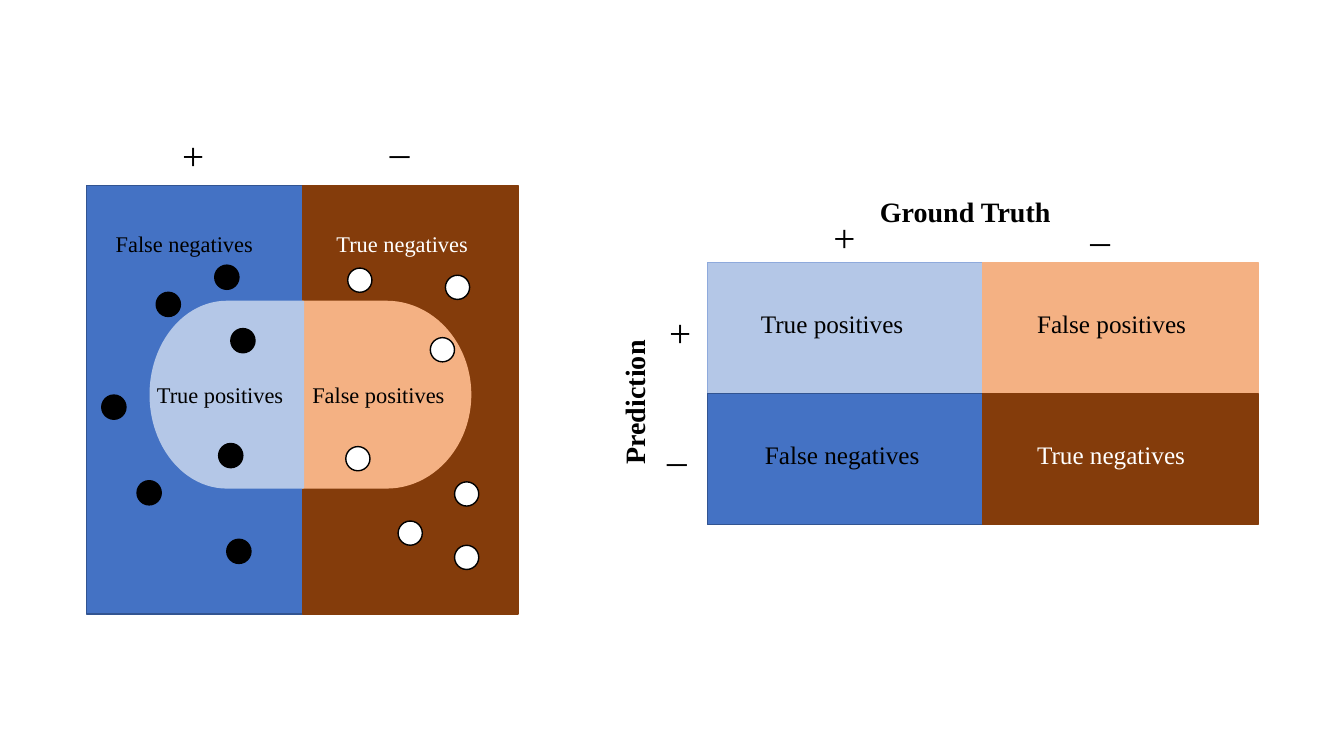
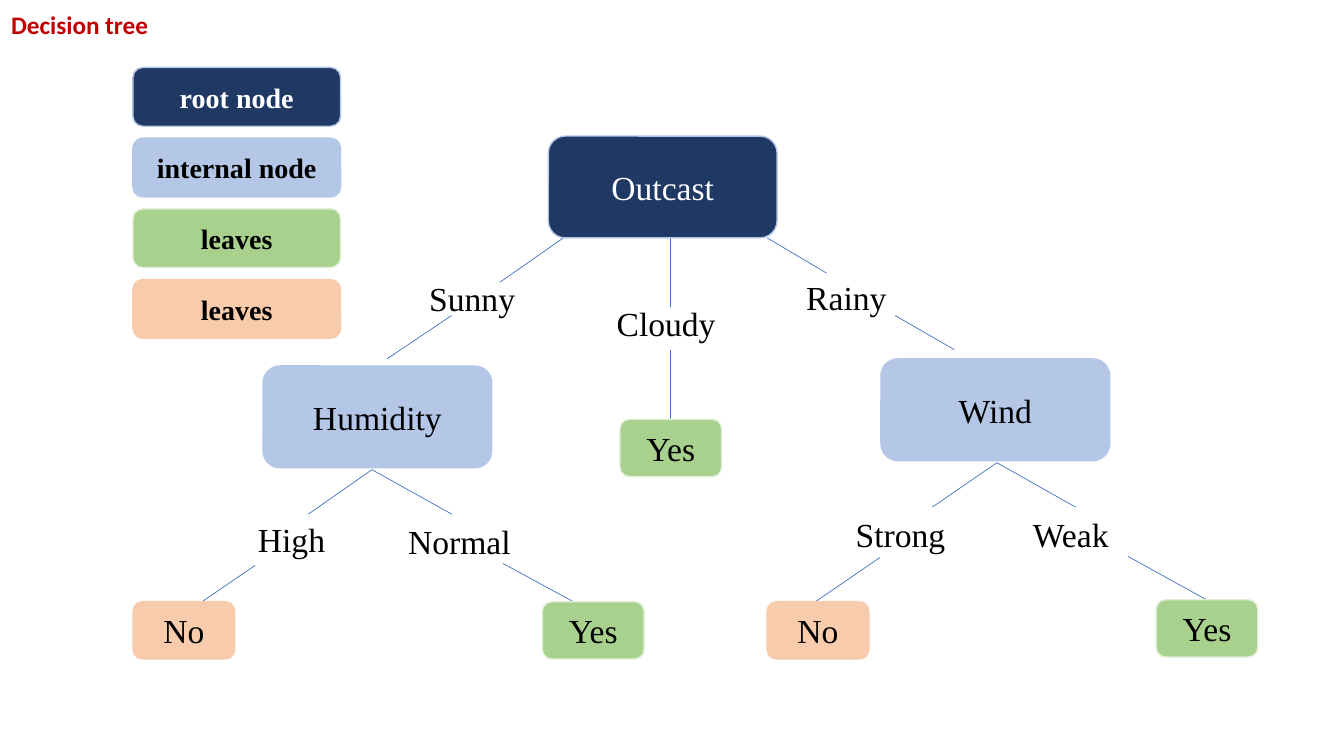
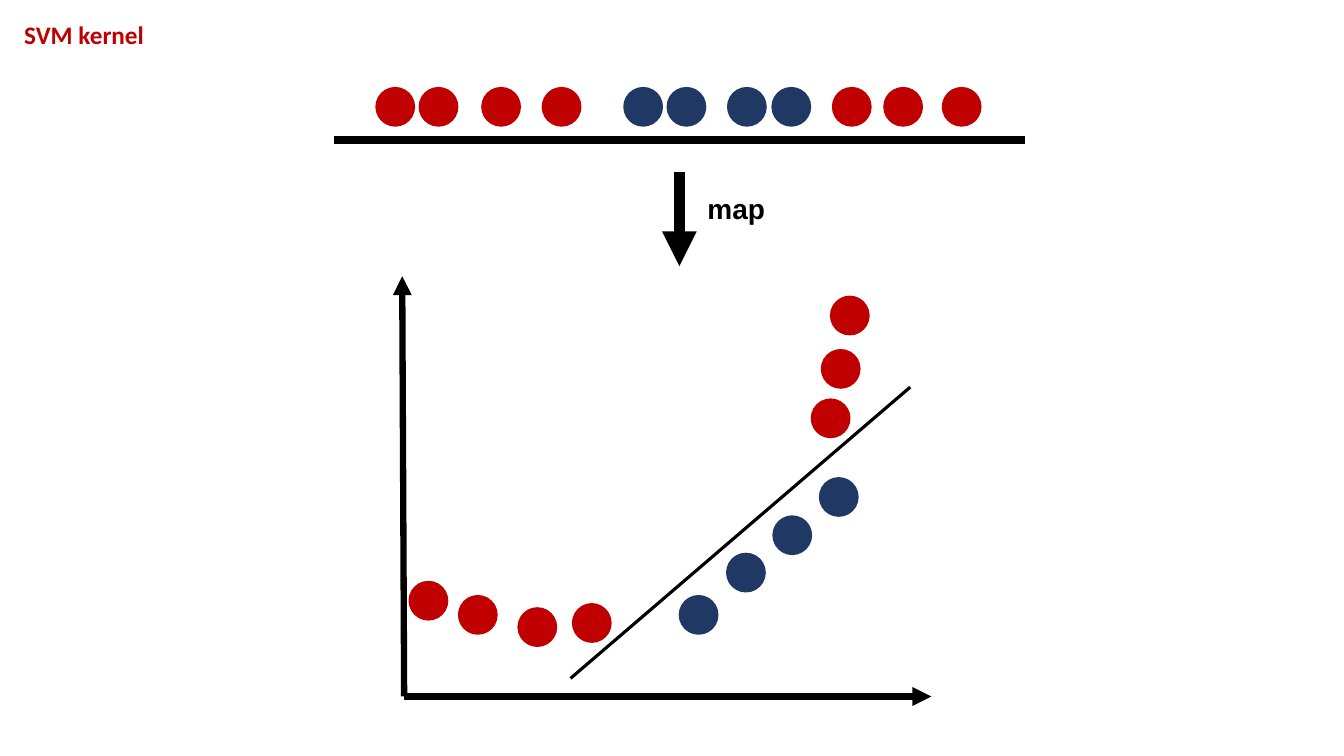
"""Build three machine learning slides: confusion matrix, decision tree and SVM kernel."""
from pptx import Presentation
from pptx.dml.color import RGBColor
from pptx.enum.shapes import MSO_CONNECTOR, MSO_SHAPE
from pptx.enum.text import MSO_ANCHOR, MSO_AUTO_SIZE, PP_ALIGN
from pptx.oxml.ns import qn
from pptx.util import Pt
from lxml.etree import SubElement

COLORS = {
    "black": "000000", "white": "FFFFFF", "red": "C00000", "navy": "203864",
    "blue": "4472C4", "blue edge": "325491", "pale blue": "B4C7E7",
    "soft blue": "8FAADC", "brown": "843C0B", "orange": "F4B183",
    "green": "A9D18E", "pale green": "E2F0D9", "peach": "F8CBAD",
}
SERIF = "Times New Roman"
TITLE_ONLY, BLANK = 5, 6
NODE_STYLES = {
    "root": ("navy", "pale blue", "white"),
    "internal": ("pale blue", "pale blue", "black"),
    "yes": ("green", "pale green", "black"),
    "no": ("peach", "peach", "black"),
}


def rgb(name):
    """Return the named colour."""
    return RGBColor.from_string(COLORS[name])


def set_text(box, text, size, color="black", bold=False, name=SERIF):
    """Write one formatted paragraph into a shape."""
    para = box.text_frame.paragraphs[0]
    para.text = text
    font = para.font
    font.name, font.size, font.bold = name, Pt(size), bold
    font.color.rgb = rgb(color)
    return para


def fit_frame(box):
    """Let a box take the size of its unwrapped text."""
    box.text_frame.word_wrap = False
    box.text_frame.auto_size = MSO_AUTO_SIZE.SHAPE_TO_FIT_TEXT


def add_title(page, text, left, top, width):
    """Place the small red title in the corner of a slide."""
    title = page.shapes.title
    title.left, title.top = Pt(left), Pt(top)
    title.width, title.height = Pt(width), Pt(28.8)
    para = set_text(title, text, 18, "red", True, "Calibri")
    para.alignment = PP_ALIGN.LEFT
    title.text_frame.vertical_anchor = MSO_ANCHOR.TOP
    fit_frame(title)


def add_label(page, text, left, top, width, size, color="black", bold=False, name=SERIF):
    """Add a one-line text box."""
    height = size * 1.2 + 7.2
    box = page.shapes.add_textbox(Pt(left), Pt(top), Pt(width), Pt(height))
    fit_frame(box)
    set_text(box, text, size, color, bold, name)
    return box


def add_sign(page, sign, left, top):
    """Add a large plus or minus sign."""
    add_label(page, sign, left, top, 33.1 if sign == "+" else 28.8, 28)


def add_figure(page, kind, left, top, width, height, fill, edge):
    """Add a filled preset shape with a thin outline."""
    figure = page.shapes.add_shape(kind, Pt(left), Pt(top), Pt(width), Pt(height))
    figure.shadow.inherit = False
    figure.fill.solid()
    figure.fill.fore_color.rgb = rgb(fill)
    figure.line.color.rgb = rgb(edge)
    figure.line.width = Pt(1)
    return figure


def add_dots(page, points, size, fill, edge):
    """Add equal circles at the given left and top corners."""
    for left, top in points:
        add_figure(page, MSO_SHAPE.OVAL, left, top, size, size, fill, edge)


def add_node(page, text, style, left, top, width, height, size=24, bold=False):
    """Add a rounded tree node with centred text."""
    fill, edge, color = NODE_STYLES[style]
    node = add_figure(page, MSO_SHAPE.ROUNDED_RECTANGLE, left, top, width, height, fill, edge)
    set_text(node, text, size, color, bold)


def add_line(page, start, end, color, width, arrow=False):
    """Add a straight line, with an arrowhead at its end if asked."""
    line = page.shapes.add_connector(
        MSO_CONNECTOR.STRAIGHT, *(Pt(value) for value in start + end))
    line.line.color.rgb = rgb(color)
    line.line.width = Pt(width)
    properties = line._element.spPr
    if arrow:
        SubElement(properties.find(qn("a:ln")), qn("a:tailEnd"), type="triangle")
    SubElement(properties, qn("a:effectLst"))


def draw_sample_space(page):
    """Draw the samples split by class and by prediction."""
    for left, fill, edge in ((62, "blue", "blue edge"), (216, "brown", "brown")):
        add_figure(page, MSO_SHAPE.RECTANGLE, left, 132.5, 154, 306, fill, edge)
    add_figure(page, MSO_SHAPE.FLOWCHART_DELAY, 216, 215.3, 120.2, 133.2, "orange", "orange")
    true_side = add_figure(
        page, MSO_SHAPE.FLOWCHART_DELAY, 107.3, 215.3, 109.4, 133.2, "pale blue", "pale blue")
    true_side._element.spPr.get_or_add_xfrm().set("flipH", "1")

    for text, left, top, width, color in (
        ("False positives", 216, 269, 119.5, "black"),
        ("True positives", 105, 269, 113.8, "black"),
        ("True negatives", 233.3, 160.6, 119.5, "white"),
        ("False negatives", 75.6, 160.6, 125.3, "black"),
    ):
        add_label(page, text, left, top, width, 16, color)

    positives = ((153.4, 189.4), (111.6, 208.8), (164.9, 234.7), (156.2, 316.8),
                 (97.9, 343.4), (162, 385.2), (72.7, 282.2))
    negatives = ((248.4, 191.5), (318.2, 196.6), (307.4, 241.2), (324.7, 344.2),
                 (284.4, 372.2), (247, 319), (324.7, 389.5))
    add_dots(page, positives, 17.3, "black", "black")
    add_dots(page, negatives, 17.3, "white", "black")
    add_sign(page, "+", 123.1, 90)
    add_sign(page, "_", 271.4, 77.8)


def draw_confusion_matrix(page):
    """Draw the two by two table of outcomes with its axis names."""
    left, top, width, height = 505.4, 187.7, 196.6, 93.6
    for column, row, fill, edge, text, indent, label_width, color in (
        (0, 0, "pale blue", "soft blue", "True positives", 31, 126.7, "black"),
        (0, 1, "blue", "blue edge", "False negatives", 33.9, 139.7, "black"),
        (1, 0, "orange", "orange", "False positives", 31.7, 132.5, "black"),
        (1, 1, "brown", "brown", "True negatives", 31.7, 133.2, "white"),
    ):
        x, y = left + column * width, top + row * height
        add_figure(page, MSO_SHAPE.RECTANGLE, x, y, width, height, fill, edge)
        add_label(page, text, x + indent, y + 28.8, label_width, 18, color)

    for sign, x, y in (("+", 588.2, 149), ("_", 771.8, 141.1),
                       ("+", 470.9, 216.7), ("_", 469.4, 298.1)):
        add_sign(page, sign, x, y)
    add_label(page, "Ground Truth", 621.4, 135.4, 140.4, 20, bold=True)
    prediction = add_label(page, "Prediction", 397.4, 267.8, 110.9, 20, bold=True)
    prediction.rotation = 270


def draw_decision_tree(page):
    """Draw the weather tree and the legend of its node kinds."""
    add_title(page, "Decision tree", 0.7, 2.9, 113)
    for start, end in (
        ((402.5, 169.9), (357.1, 201.6)), ((478.8, 169.9), (478.8, 219.6)),
        ((547.9, 169.9), (590.4, 195.1)), ((322.6, 225.4), (276.5, 256.3)),
        ((478.8, 249.8), (478.8, 299.5)), ((639.4, 225.4), (681.8, 249.8)),
        ((265.7, 335.5), (220.3, 367.2)), ((265.7, 335.5), (322.6, 367.2)),
        ((182.2, 403.9), (136.8, 434.9)), ((359.3, 402.5), (416.2, 433.4)),
        ((712.1, 330.5), (666, 362.2)), ((712.1, 330.5), (768.2, 362.2)),
        ((628.6, 398.2), (582.5, 429.8)), ((805.7, 397.4), (861.8, 428.4)),
    ):
        add_line(page, start, end, "blue", 0.5)

    for text, left, top, width in (
        ("Sunny", 299.5, 195.1, 80.6), ("Cloudy", 433.4, 213.1, 91.4),
        ("Rainy", 568.8, 194.4, 72.7), ("High", 177.1, 367.2, 66.2),
        ("Normal", 284.4, 368.6, 95.8), ("Strong", 604.1, 363.6, 87.1),
        ("Weak", 730.8, 363.6, 74.9),
    ):
        add_label(page, text, left, top, width, 24)

    for text, style, left, top in (
        ("Outcast", "root", 391.7, 97.2), ("Humidity", "internal", 187.9, 261.4),
        ("Wind", "internal", 629.3, 256.3),
    ):
        add_node(page, text, style, left, top, 163.4, 72.7)
    for text, left, top in (
        ("Yes", 442.8, 299.5), ("No", 547.9, 429.8), ("Yes", 825.8, 428.4),
        ("Yes", 387.4, 429.8), ("No", 95, 429.8),
    ):
        add_node(page, text, text.lower(), left, top, 72.7, 41)

    legend = (("root node", "root"), ("internal node", "internal"),
              ("leaves", "yes"), ("leaves", "no"))
    for row, (text, style) in enumerate(legend):
        add_node(page, text, style, 95, 48.2 + 50.5 * row, 148.3, 42, 20, True)


def draw_svm_kernel(page):
    """Draw points on a line mapped to a plane where a line separates them."""
    add_title(page, "SVM kernel", 10.1, 10.1, 100.8)
    row_top = 62.6
    outer = [(left, row_top) for left in (268.6, 299.5, 344.2, 387.4, 594.7, 631.4, 673.2)]
    inner = [(left, row_top) for left in (445.7, 476.6, 519.8, 551.5)]
    mapped_outer = [(292.3, 415.4), (327.6, 425.5), (370.1, 434.2), (409, 431.3),
                    (579.6, 285.1), (586.8, 249.8), (593.3, 211.7)]
    mapped_inner = [(485.3, 425.5), (519.1, 395.3), (552.2, 368.6), (585.4, 341.3)]
    add_dots(page, outer + mapped_outer, 27.4, "red", "red")
    add_dots(page, inner + mapped_inner, 27.4, "navy", "navy")

    origin = (288.7, 497.5)
    for start, end, width, arrow in (
        ((407.5, 484.6), (650.2, 276.5), 2.25, False),
        ((485.3, 123.1), (485.3, 190.1), 8.25, True),
        (origin, (287.3, 197.3), 4.5, True),
        (origin, (665.3, 497.5), 4.5, True),
        ((238.3, 100.1), (732.2, 100.1), 6, False),
    ):
        add_line(page, start, end, "black", width, arrow)
    add_label(page, "map", 498.2, 133.2, 56.2, 20, bold=True, name="Arial")


def main():
    """Build and save the deck."""
    deck = Presentation()
    deck.slide_width, deck.slide_height = Pt(960), Pt(540)
    layouts = deck.slide_layouts
    outcomes = deck.slides.add_slide(layouts[BLANK])
    draw_sample_space(outcomes)
    draw_confusion_matrix(outcomes)
    draw_decision_tree(deck.slides.add_slide(layouts[TITLE_ONLY]))
    draw_svm_kernel(deck.slides.add_slide(layouts[TITLE_ONLY]))
    deck.save("out.pptx")


main()
